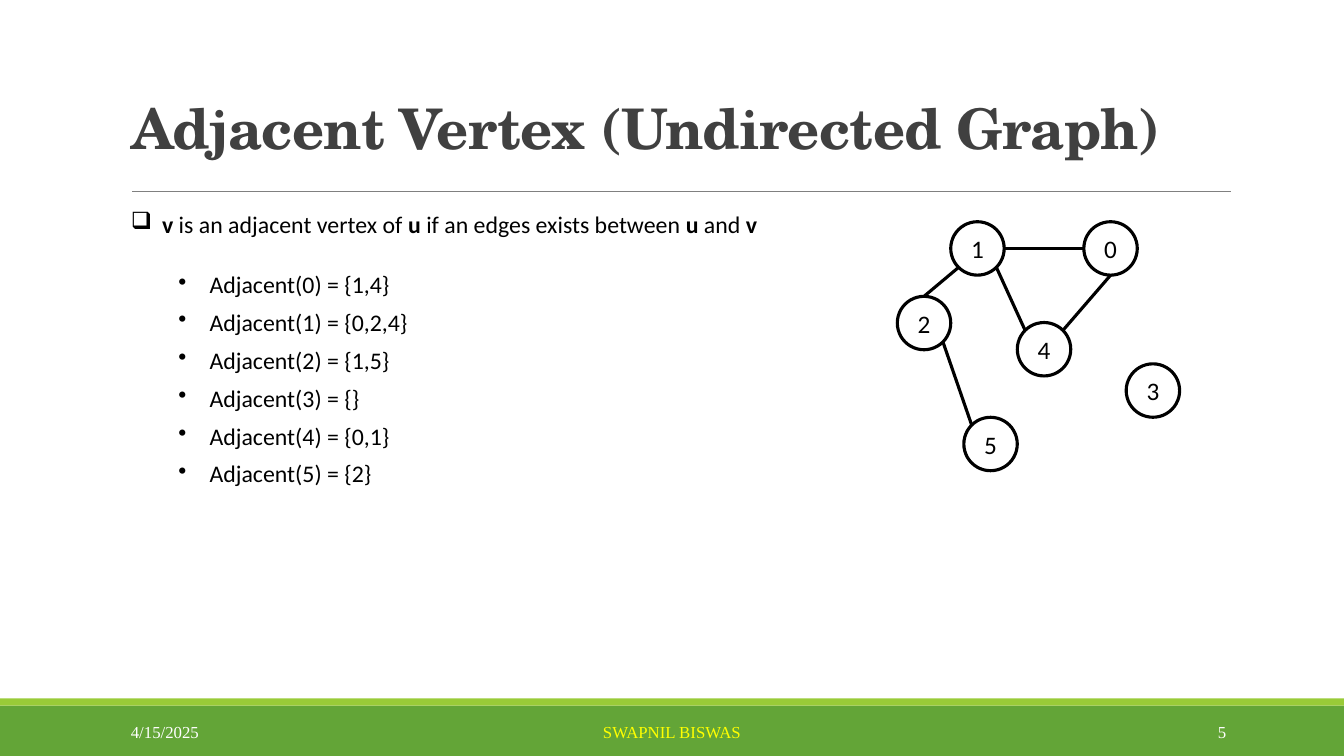
"""Build a slide that explains adjacent vertices in an undirected graph."""
import math

import lxml.etree
import pptx
import pptx.dml.color
import pptx.enum.shapes
import pptx.enum.text
import pptx.oxml.ns
import pptx.util

Inches = pptx.util.Inches
Pt = pptx.util.Pt
Align = pptx.enum.text.PP_ALIGN
Anchor = pptx.enum.text.MSO_ANCHOR
Preset = pptx.enum.shapes.MSO_SHAPE
qn = pptx.oxml.ns.qn


def color(hex_text):
    return pptx.dml.color.RGBColor.from_string(hex_text)


def write(paragraph, text, size=17, font="Calibri", fill="000000", bold=False, spacing=None):
    run = paragraph.add_run()
    run.text = text
    run.font.size = Pt(size)
    run.font.name = font
    run.font.bold = bold
    run.font.color.rgb = color(fill)
    if spacing is not None:
        run.font._element.set("spc", str(int(spacing * 100)))


class GraphSlide:
    ink = "000000"
    stroke = 2.25
    diameter = 0.53
    indent = 0.31

    def __init__(self, presentation):
        self.slide = presentation.slides.add_slide(presentation.slide_layouts[5])
        self.centers = {}

    def title(self, text, left, top, width, height):
        shape = self.slide.shapes.title
        shape.left, shape.top = Inches(left), Inches(top)
        shape.width, shape.height = Inches(width), Inches(height)
        frame = shape.text_frame
        frame.auto_size = pptx.enum.text.MSO_AUTO_SIZE.NONE
        frame.vertical_anchor = Anchor.BOTTOM
        paragraph = frame.paragraphs[0]
        paragraph.alignment = Align.LEFT
        paragraph.line_spacing = 0.85
        write(paragraph, text, size=40, font="TeX Gyre Schola", fill="404040", bold=True, spacing=-0.5)

    def band(self, top, height, fill):
        shape = self.slide.shapes.add_shape(
            Preset.RECTANGLE, 0, Inches(top), Inches(13.33), Inches(height))
        shape.shadow.inherit = False
        shape.fill.solid()
        shape.fill.fore_color.rgb = color(fill)
        shape.line.fill.background()

    def line(self, start, end, stroke=stroke, fill=ink):
        connector = self.slide.shapes.add_connector(
            pptx.enum.shapes.MSO_CONNECTOR.STRAIGHT, *map(Inches, (*start, *end)))
        connector.line.width = Pt(stroke)
        connector.line.color.rgb = color(fill)
        lxml.etree.SubElement(connector._element.spPr, qn("a:effectLst"))

    def vertex(self, label, left, top):
        radius = self.diameter / 2
        self.centers[label] = (left + radius, top + radius)
        shape = self.slide.shapes.add_shape(
            Preset.OVAL, *map(Inches, (left, top, self.diameter, self.diameter)))
        shape.shadow.inherit = False
        shape.fill.background()
        shape.line.width = Pt(self.stroke)
        shape.line.color.rgb = color(self.ink)
        frame = shape.text_frame
        frame.margin_left = frame.margin_right = frame.margin_top = frame.margin_bottom = 0
        frame.word_wrap = False
        frame.vertical_anchor = Anchor.MIDDLE
        frame.paragraphs[0].alignment = Align.CENTER
        write(frame.paragraphs[0], label, size=18)

    def rim(self, label, degrees):
        x, y = self.centers[label]
        angle = math.radians(degrees)
        radius = self.diameter / 2
        return x + radius * math.cos(angle), y + radius * math.sin(angle)

    def edge(self, first, first_degrees, second, second_degrees):
        self.line(self.rim(first, first_degrees), self.rim(second, second_degrees))

    def text_box(self, left, top, width, height, anchor=Anchor.TOP):
        box = self.slide.shapes.add_textbox(*map(Inches, (left, top, width, height)))
        box.text_frame.word_wrap = True
        box.text_frame.vertical_anchor = anchor
        return box.text_frame

    def bullets(self, items, mark, left, top, width, height, gap=0):
        frame = self.text_box(left, top, width, height)
        for index, runs in enumerate(items):
            paragraph = frame.add_paragraph() if index else frame.paragraphs[0]
            paragraph.space_after = Pt(gap)
            properties = paragraph._p.get_or_add_pPr()
            properties.set("marL", str(Inches(self.indent)))
            properties.set("indent", str(-Inches(self.indent)))
            lxml.etree.SubElement(properties, qn("a:buChar"), char=mark)
            for text, bold in runs:
                write(paragraph, text, bold=bold)

    def footer(self, text, left, width, alignment, fill="FFFFFF"):
        frame = self.text_box(left, 7.06, width, 0.4, Anchor.MIDDLE)
        frame.paragraphs[0].alignment = alignment
        write(frame.paragraphs[0], text, size=12, font="Times New Roman", fill=fill)


def main():
    presentation = pptx.Presentation()
    presentation.slide_width = Inches(13.33)
    presentation.slide_height = Inches(7.5)
    page = GraphSlide(presentation)

    page.band(7, 0.5, "63A537")
    page.band(6.93, 0.07, "99CB38")
    page.line((1.31, 1.9), (12.21, 1.9), stroke=0.5, fill="808080")
    page.title("Adjacent Vertex (Undirected Graph)", 1.2, 0.06, 11, 1.59)

    definition = [
        ("v", True), (" is an adjacent vertex of ", False), ("u", True),
        (" if an edges exists between ", False), ("u", True), (" and ", False), ("v", True),
    ]
    page.bullets([definition], "❑", 1.2, 2.03, 6.8, 0.39)
    neighbors = ["1,4", "0,2,4", "1,5", "", "0,1", "2"]
    adjacency = [[(f"Adjacent({vertex}) = {{{names}}}", False)]
                 for vertex, names in enumerate(neighbors)]
    page.bullets(adjacency, "•", 1.67, 2.63, 2.55, 2.29, gap=6.6)

    vertices = {"0": (10.75, 2.2), "1": (9.43, 2.2), "2": (8.9, 2.94),
                "3": (11.17, 3.61), "4": (10.09, 3.2), "5": (9.56, 4.14)}
    for label, position in vertices.items():
        page.vertex(label, *position)
    edges = [("1", 0, "0", 180), ("1", 135, "2", 270), ("2", 45, "5", 225),
             ("4", 315, "0", 90), ("1", 45, "4", 225)]
    for edge in edges:
        page.edge(*edge)

    page.footer("4/15/2025", 1.2, 2.7, Align.LEFT)
    page.footer("SWAPNIL BISWAS", 4.03, 5.27, Align.CENTER, fill="FFFF00")
    page.footer("5", 10.83, 1.43, Align.RIGHT)
    presentation.save("out.pptx")


if __name__ == "__main__":
    main()
